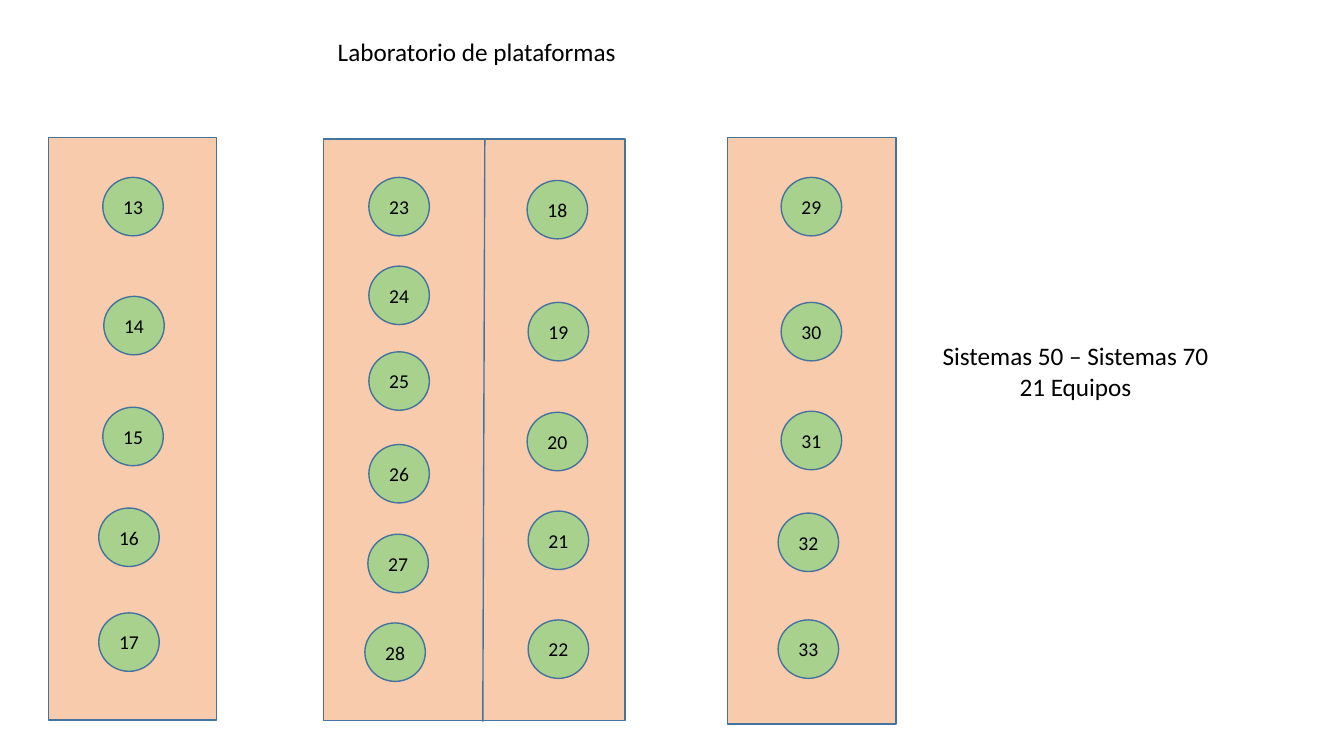
from dataclasses import dataclass

from lxml import etree
from pptx import Presentation
from pptx.dml.color import RGBColor
from pptx.enum.shapes import MSO_CONNECTOR, MSO_SHAPE
from pptx.enum.text import MSO_ANCHOR, PP_ALIGN
from pptx.oxml.ns import qn
from pptx.util import Pt

RECTANGLE = MSO_SHAPE.RECTANGLE
OVAL = MSO_SHAPE.OVAL
STRAIGHT = MSO_CONNECTOR.STRAIGHT
CENTER = PP_ALIGN.CENTER
TOP = MSO_ANCHOR.TOP
MIDDLE = MSO_ANCHOR.MIDDLE


@dataclass(frozen=True)
class Theme:
    font: str = "Calibri"
    text: RGBColor = RGBColor(0x00, 0x00, 0x00)
    table: RGBColor = RGBColor(0xF8, 0xCB, 0xAD)
    seat: RGBColor = RGBColor(0xA9, 0xD1, 0x8E)
    outline: RGBColor = RGBColor(0x43, 0x73, 0x9E)
    outline_width: float = 1
    seat_size: float = 14
    label_size: float = 18


@dataclass(frozen=True)
class Box:
    left: float
    top: float
    width: float
    height: float

    def lengths(self) -> tuple:
        return Pt(self.left), Pt(self.top), Pt(self.width), Pt(self.height)


@dataclass(frozen=True)
class SeatColumn:
    first_number: int
    positions: tuple  # left and top of each seat


@dataclass(frozen=True)
class Label:
    box: Box
    lines: tuple


THEME = Theme()
SEAT_WIDTH, SEAT_HEIGHT = 43.2, 41.76

TABLES = (
    Box(34.56, 98.2, 120.24, 416.16),
    Box(231.12, 99.36, 215.28, 415.44),
    Box(519.84, 98.2, 120.24, 419.04),
)
DIVIDER = (346.32, 99.36, 344.88, 515.52)

SEAT_COLUMNS = (
    SeatColumn(13, ((73.44, 126.72), (74.16, 211.68), (73.44, 290.88),
                    (70.56, 362.88), (70.56, 437.76))),
    SeatColumn(18, ((376.56, 128.88), (377.28, 216), (376.56, 294.48),
                    (377.28, 365.04), (377.28, 442.8))),
    SeatColumn(23, ((263.52, 126.72), (263.52, 190.08), (263.52, 251.28),
                    (263.52, 317.52), (262.8, 381.6), (260.64, 444.96))),
    SeatColumn(29, ((558, 126.72), (558, 216), (558, 293.76),
                    (555.84, 366.48), (555.84, 442.8))),
)

LABELS = (
    Label(Box(232.56, 22.32, 216, 28.8), ("Laboratorio de plataformas",)),
    Label(Box(660.24, 239.76, 216, 51.12),
          ("Sistemas 50 – Sistemas 70", "21 Equipos")),
)


def apply_format(target, values: dict) -> None:
    for name, value in values.items():
        setattr(target, name, value)


def write_text(shape, lines: tuple, size: float, frame_format: dict) -> None:
    frame = shape.text_frame
    apply_format(frame, {"word_wrap": True, **frame_format})
    frame.text = "\n".join(lines)
    for paragraph in frame.paragraphs:
        paragraph.alignment = CENTER
        font = paragraph.runs[0].font
        apply_format(font, {"name": THEME.font, "size": Pt(size)})
        font.color.rgb = THEME.text


def draw_outline(line) -> None:
    line.color.rgb = THEME.outline
    line.width = Pt(THEME.outline_width)


def add_filled_shape(slide, kind, box: Box, color: RGBColor):
    shape = slide.shapes.add_shape(kind, *box.lengths())
    shape.shadow.inherit = False
    shape.fill.solid()
    shape.fill.fore_color.rgb = color
    draw_outline(shape.line)
    return shape


def add_divider(slide, ends: tuple) -> None:
    divider = slide.shapes.add_connector(STRAIGHT, *map(Pt, ends))
    draw_outline(divider.line)
    etree.SubElement(divider._element.spPr, qn("a:effectLst"))


def add_seat_column(slide, column: SeatColumn) -> None:
    no_margins = {f"margin_{side}": 0 for side in ("left", "top", "right", "bottom")}
    for number, (left, top) in enumerate(column.positions, column.first_number):
        box = Box(left, top, SEAT_WIDTH, SEAT_HEIGHT)
        seat = add_filled_shape(slide, OVAL, box, THEME.seat)
        write_text(seat, (str(number),), THEME.seat_size,
                   {"vertical_anchor": MIDDLE, **no_margins})


def add_label(slide, label: Label) -> None:
    text_box = slide.shapes.add_textbox(*label.box.lengths())
    write_text(text_box, label.lines, THEME.label_size, {"vertical_anchor": TOP})


def main() -> None:
    presentation = Presentation()
    apply_format(presentation, {"slide_width": Pt(960), "slide_height": Pt(540)})
    slide = presentation.slides.add_slide(presentation.slide_layouts[6])

    # Tables, with the middle one split in two
    for table in TABLES:
        add_filled_shape(slide, RECTANGLE, table, THEME.table)
    add_divider(slide, DIVIDER)

    # Numbered seats
    for column in SEAT_COLUMNS:
        add_seat_column(slide, column)

    # Title and equipment count
    for label in LABELS:
        add_label(slide, label)

    presentation.save("out.pptx")


if __name__ == "__main__":
    main()
